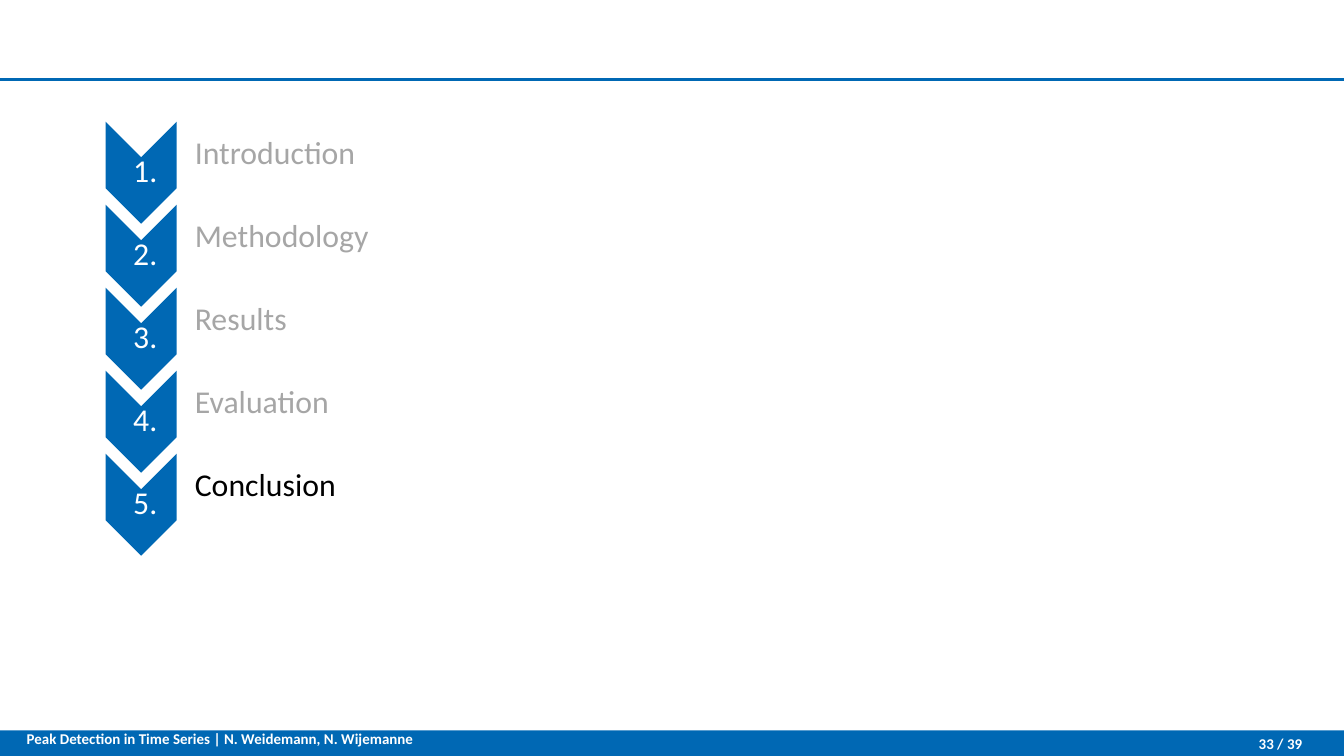
from pptx import Presentation
from pptx import util as u
from pptx.dml.color import RGBColor
from pptx.enum import shapes, text
from pptx.oxml.ns import qn
from lxml import etree

# Content
STEPS = ["Introduction", "Methodology", "Results", "Evaluation", "Conclusion"]
NOW = "Conclusion"
FOOT = "Peak Detection in Time Series | N. Weidemann, N. Wijemanne"
PAGE = "33 / 39"

# Look
BLUE, WHITE, GREY, BLACK = "0068B4", "FFFFFF", "A6A6A6", "000000"
BIG = {"name": "Calibri", "size": u.Pt(17)}
SMALL = {"name": "Calibri", "size": u.Pt(8), "bold": True}
MID, TOP = text.MSO_ANCHOR.MIDDLE, text.MSO_ANCHOR.TOP
LEFT, MIDST, RIGHT = text.PP_ALIGN.LEFT, text.PP_ALIGN.CENTER, text.PP_ALIGN.RIGHT

# Grid: a 16:9 page, steps at an equal pitch
WIDE = 10
HIGH = WIDE * 9 / 16
BAR = 0.19
FIRST, LAST = 1.02, 3.49
PITCH = (LAST - FIRST) / (len(STEPS) - 1)

deck = Presentation()
deck.slide_width, deck.slide_height = u.Inches(WIDE), u.Inches(HIGH)
slide = deck.slides.add_slide(deck.slide_layouts[6])


def hue(code):
    return RGBColor.from_string(code)


def place(*nums):
    return [u.Inches(n) for n in nums]


def block(kind, spot, turn=0):
    item = slide.shapes.add_shape(kind, *place(*spot))
    item.shadow.inherit = False
    item.fill.solid()
    item.fill.fore_color.rgb = hue(BLUE)
    item.line.fill.background()
    item.rotation = turn


def write(words, spot, look, color, align, anchor, pads, lead=1.0):
    frame = slide.shapes.add_textbox(*place(*spot)).text_frame
    frame.word_wrap = True
    frame.vertical_anchor = anchor
    for side, pad in zip(("left", "top", "right", "bottom"), pads):
        setattr(frame, "margin_" + side, u.Inches(pad))
    para = frame.paragraphs[0]
    para.alignment, para.line_spacing = align, lead
    run = para.add_run()
    run.text = words
    for key, val in look.items():
        setattr(run.font, key, val)
    run.font.color.rgb = hue(color)


# Footer bar
block(shapes.MSO_SHAPE.RECTANGLE, (0, HIGH - BAR, WIDE, BAR))

# Numbered chevrons with their labels
for i, step in enumerate(STEPS):
    y = FIRST + i * PITCH
    block(shapes.MSO_SHAPE.CHEVRON, (0.67, y, 0.76, 0.53), 90)
    write(f" {i + 1}.", (0.79, y + 0.15, 0.53, 0.23), BIG, WHITE,
          MIDST, MID, [0.01] * 4, 0.9)
    write(step, (1.32, y - 0.09, 7.87, 0.44), BIG, BLACK if step == NOW else GREY,
          LEFT, MID, [0.13, 0.01, 0.01, 0.01], 0.9)

# Header rule
rule = slide.shapes.add_connector(shapes.MSO_CONNECTOR.STRAIGHT,
                                  *place(WIDE, 0.59, 0, 0.59))
rule.line.color.rgb = hue(BLUE)
rule.line.width = u.Pt(1.5)
etree.SubElement(rule._element.spPr, qn("a:effectLst"))

# Footer text
write(FOOT, (0.1, 5.36, 4.34, 0.34), SMALL, WHITE, LEFT, TOP, [0.1] * 4)
write(PAGE, (8.75, 5.44, 0.94, BAR), SMALL, WHITE, RIGHT, MID, [0.1, 0.05, 0, 0.05])

deck.save("out.pptx")
